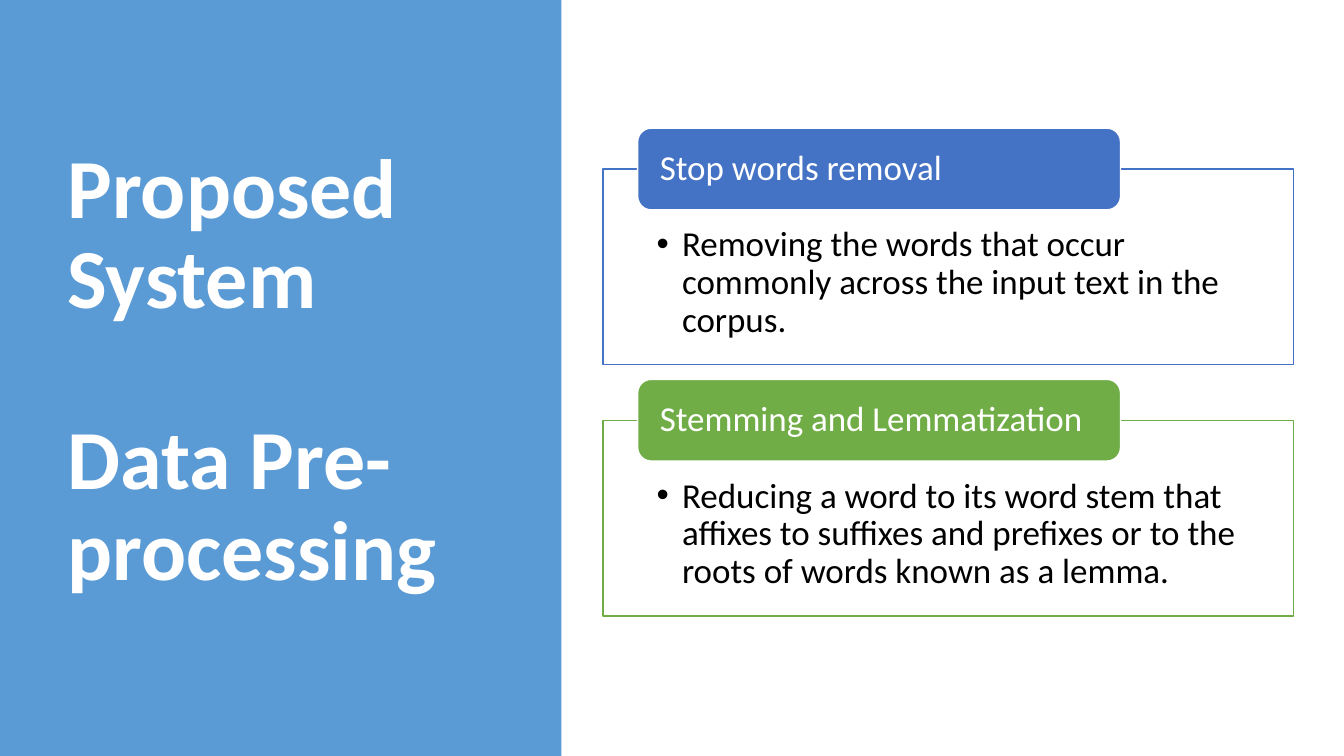
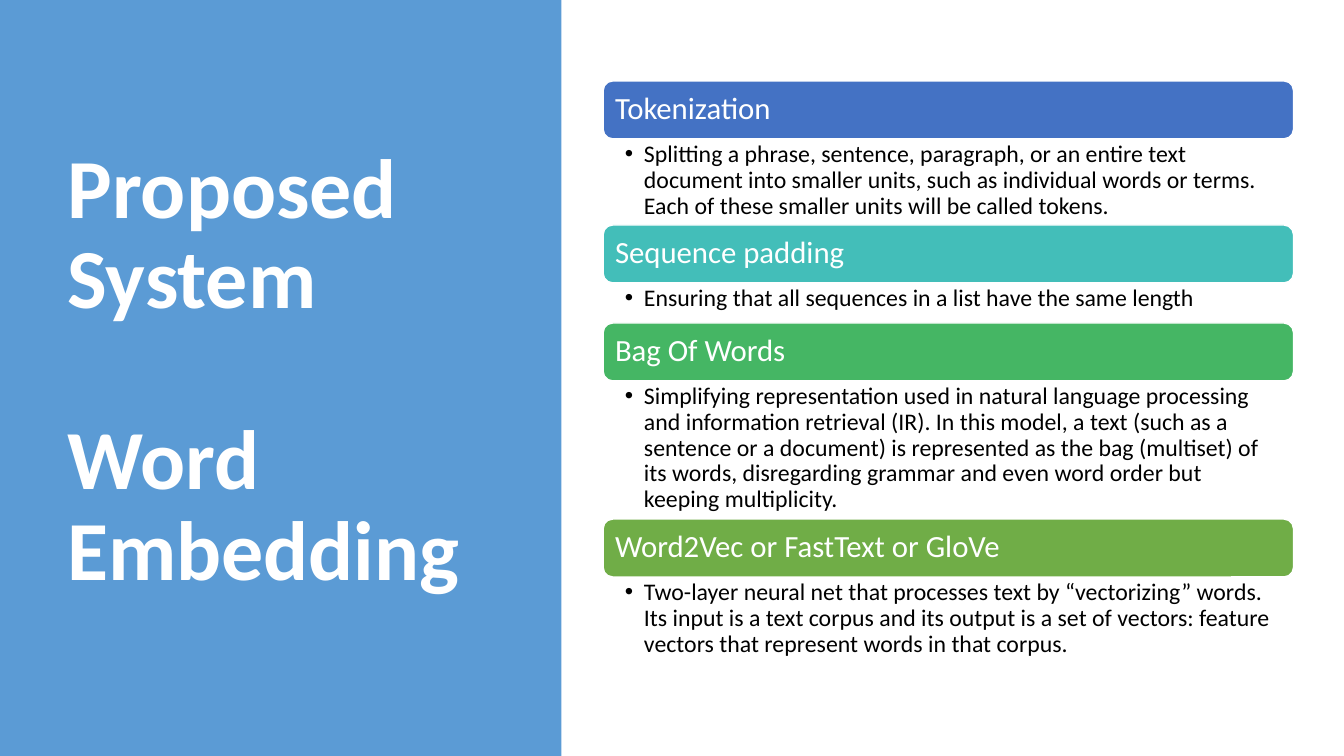
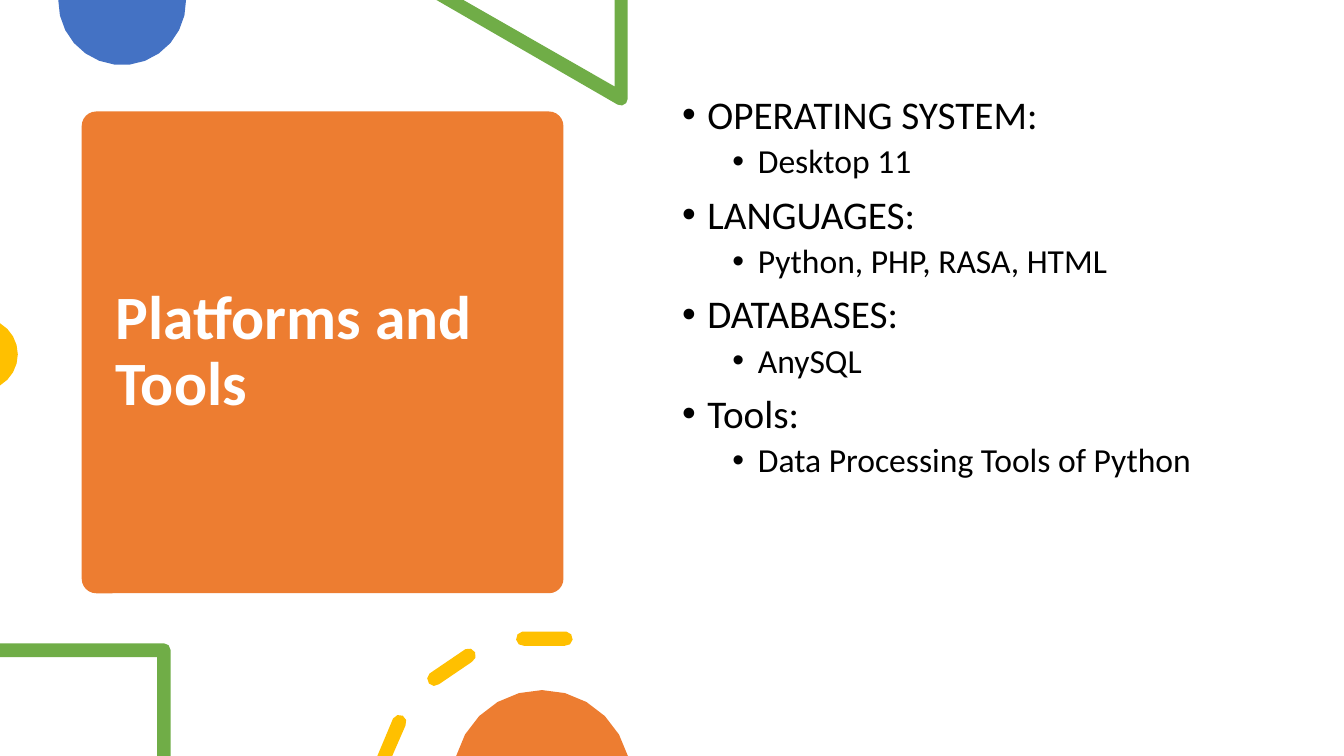
from math import asin, ceil, cos, degrees, radians, sin

from lxml import etree
from pptx import Presentation
from pptx.dml.color import RGBColor
from pptx.enum.shapes import MSO_SHAPE
from pptx.enum.text import MSO_ANCHOR, MSO_AUTO_SIZE, PP_ALIGN
from pptx.oxml.ns import qn
from pptx.util import Cm, Pt

RECTANGLE, ROUNDED = MSO_SHAPE.RECTANGLE, MSO_SHAPE.ROUNDED_RECTANGLE
TOP, MIDDLE = MSO_ANCHOR.TOP, MSO_ANCHOR.MIDDLE
LEFT = PP_ALIGN.LEFT
NO_AUTOFIT = MSO_AUTO_SIZE.NONE

# Shared style, lengths in centimetres
WHITE = RGBColor(0xFF, 0xFF, 0xFF)
BLACK = RGBColor(0x00, 0x00, 0x00)
PANEL_BLUE = RGBColor(0x5B, 0x9B, 0xD5)
BLUE = RGBColor(0x44, 0x72, 0xC4)
TEAL = RGBColor(0x43, 0xBE, 0xB9)
EMERALD = RGBColor(0x45, 0xB6, 0x64)
GREEN = RGBColor(0x70, 0xAD, 0x47)
ORANGE = RGBColor(0xED, 0x7D, 0x31)
YELLOW = RGBColor(0xFF, 0xC0, 0x00)
FONT = "Calibri"
SLIDE_WIDTH, SLIDE_HEIGHT = 33.87, 19.05
CONTENT_LEFT, CONTENT_WIDTH = 15.2, 17.4
DEFAULT_INSETS = (0.25, 0.13, 0.25, 0.13)
TITLE_ONLY = 5

# Slide content
PREPROCESSING = [
    ("Stop words removal", BLUE,
     "Removing the words that occur commonly across the input text in the corpus."),
    ("Stemming and Lemmatization", GREEN,
     "Reducing a word to its word stem that affixes to suffixes and prefixes "
     "or to the roots of words known as a lemma."),
]
EMBEDDING = [
    ("Tokenization", BLUE, 2.17,
     "Splitting a phrase, sentence, paragraph, or an entire text document into "
     "smaller units, such as individual words or terms. Each of these smaller "
     "units will be called tokens."),
    ("Sequence padding", TEAL, 1.01,
     "Ensuring that all sequences in a list have the same length"),
    ("Bag Of Words", EMERALD, 3.48,
     "Simplifying representation used in natural language processing and "
     "information retrieval (IR). In this model, a text (such as a sentence or a "
     "document) is represented as the bag (multiset) of its words, disregarding "
     "grammar and even word order but keeping multiplicity."),
    ("Word2Vec or FastText or GloVe", GREEN, 2.17,
     "Two-layer neural net that processes text by “vectorizing” words. Its input "
     "is a text corpus and its output is a set of vectors: feature vectors that "
     "represent words in that corpus."),
]
PLATFORMS = [
    ("OPERATING SYSTEM:", "Desktop 11"),
    ("LANGUAGES:", "Python, PHP, RASA, HTML"),
    ("DATABASES:", "AnySQL"),
    ("Tools:", "Data Processing Tools of Python"),
]


# Text
def format_paragraph(paragraph, size, color, bold=False, before=0):
    paragraph.alignment = LEFT
    paragraph.line_spacing = 0.9
    paragraph.space_before = Pt(before)
    font = paragraph.font
    font.name, font.size, font.bold = FONT, Pt(size), bold
    font.color.rgb = color


def set_bullet(paragraph, margin, hanging):
    properties = paragraph._p.get_or_add_pPr()
    properties.set("marL", str(Cm(margin)))
    properties.set("indent", str(-Cm(hanging)))
    etree.SubElement(properties, qn("a:buFont")).set("typeface", "Arial")
    etree.SubElement(properties, qn("a:buChar")).set("char", "•")


def set_frame(frame, anchor, insets=DEFAULT_INSETS):
    frame.word_wrap = True
    frame.auto_size = NO_AUTOFIT
    frame.vertical_anchor = anchor
    (frame.margin_left, frame.margin_top,
     frame.margin_right, frame.margin_bottom) = [Cm(inset) for inset in insets]


def add_paragraph(frame, index, text):
    paragraph = frame.paragraphs[0] if index == 0 else frame.add_paragraph()
    paragraph.text = text
    return paragraph


def add_text_box(slide, box, insets=DEFAULT_INSETS):
    frame = slide.shapes.add_textbox(*map(Cm, box)).text_frame
    set_frame(frame, TOP, insets)
    return frame


def add_title(slide, lines, box, size, gap=0):
    title = slide.shapes.title
    title.left, title.top, title.width, title.height = map(Cm, box)
    set_frame(title.text_frame, MIDDLE)
    for index, line in enumerate(lines):
        paragraph = add_paragraph(title.text_frame, index, line)
        format_paragraph(paragraph, size, WHITE, bold=True, before=gap * index)


# Shapes
def paint(shape, fill, line=None):
    shape.shadow.inherit = False
    shape.fill.solid()
    shape.fill.fore_color.rgb = fill
    if line is None:
        shape.line.fill.background()
    else:
        shape.line.color.rgb = line
        shape.line.width = Pt(1)


def add_block(slide, kind, box, fill, line=None):
    shape = slide.shapes.add_shape(kind, *map(Cm, box))
    paint(shape, fill, line)
    return shape


def send_to_back(slide, shape):
    tree = slide.shapes._spTree
    tree.remove(shape._element)
    tree.insert(2, shape._element)


def add_header(slide, box, text, fill, size, inset):
    header = add_block(slide, ROUNDED, box, fill, WHITE)
    set_frame(header.text_frame, MIDDLE, (inset, 0, inset, 0))
    format_paragraph(add_paragraph(header.text_frame, 0, text), size, WHITE)


def add_bullet_text(frame, text, size, hanging):
    paragraph = add_paragraph(frame, 0, text)
    set_bullet(paragraph, hanging, hanging)
    format_paragraph(paragraph, size, BLACK)


def point_on_circle(center_x, center_y, radius, angle):
    return (center_x + radius * cos(radians(angle)),
            center_y + radius * sin(radians(angle)))


def arc(center_x, center_y, radius, start, end):
    """Points along an arc; angles in degrees, clockwise from the right."""
    stride = 45 if radius < 0.5 else 15
    steps = ceil(abs(end - start) / stride)
    return [point_on_circle(center_x, center_y, radius, start + (end - start) * step / steps)
            for step in range(steps + 1)]


def add_outline(slide, fill, *contours):
    first, *others = [[(Cm(x), Cm(y)) for x, y in contour] for contour in contours]
    builder = slide.shapes.build_freeform(*first[0])
    builder.add_line_segments(first[1:], close=True)
    for contour in others:
        builder.move_to(*contour[0])
        builder.add_line_segments(contour[1:], close=True)
    paint(builder.convert_to_shape(), fill)


def ring_dash(start, end):
    """A round-ended dash; without a start it runs to the slide's bottom edge."""
    x, y, radius, half = 13.72, 20.26, 4.2, 0.18
    outer, inner = radius + half, radius - half

    def start_angle(size):
        return degrees(asin((y - SLIDE_HEIGHT) / size)) - 180 if start is None else start

    def cap(angle, turn):
        center = point_on_circle(x, y, radius, angle)
        return arc(*center, half, angle + turn, angle + turn + 180)

    points = arc(x, y, outer, start_angle(outer), end) + cap(end, 0)[1:-1]
    points += arc(x, y, inner, end, start_angle(inner))
    if start is not None:
        points += cap(start, 180)[1:-1]
    return points


# Slides
def new_slide(presentation):
    return presentation.slides.add_slide(presentation.slide_layouts[TITLE_ONLY])


def new_panel_slide(presentation, topic):
    slide = new_slide(presentation)
    panel = add_block(slide, RECTANGLE, (0, 0, 14.15, SLIDE_HEIGHT), PANEL_BLUE)
    send_to_back(slide, panel)
    add_title(slide, ["Proposed System", topic], (1.45, 1.73, 10.57, 15.29), 60, gap=64.5)
    return slide


def build_preprocessing(presentation):
    slide = new_panel_slide(presentation, "Data Pre-processing")
    for index, (name, color, text) in enumerate(PREPROCESSING):
        top = 3.23 + 6.33 * index
        card = add_block(slide, RECTANGLE, (CONTENT_LEFT, top + 1.03, CONTENT_WIDTH, 4.93),
                         WHITE, color)
        set_frame(card.text_frame, TOP, (1.35, 1.45, 1.35, 0.48))
        add_bullet_text(card.text_frame, text, 25, 0.64)
        add_header(slide, (16.07, top, 12.17, 2.06), name, color, 25, 0.46)


def build_embedding(presentation):
    slide = new_panel_slide(presentation, "Word Embedding")
    top, header_height = 2.04, 1.46
    for name, color, text_height, text in EMBEDDING:
        add_header(slide, (CONTENT_LEFT, top, CONTENT_WIDTH, header_height),
                   name, color, 22, 0.23)
        top += header_height
        frame = add_text_box(slide, (CONTENT_LEFT, top, CONTENT_WIDTH, text_height),
                             (0.55, 0.08, 0.43, 0.08))
        add_bullet_text(frame, text, 17, 0.48)
        top += text_height


def add_top_decorations(slide):
    add_outline(slide, BLUE, arc(3.08, 0.03, 1.61, -1, 181))
    add_outline(slide, GREEN,
                [(15.82, 0), (15.49, 0), (15.49, 2.18), (11.68, 0), (11, 0)]
                + arc(15.65, 2.49, 0.17, 120, 0))
    add_outline(slide, YELLOW, arc(-0.46, 8.93, 0.91, -59.6, 59.6))


def add_bottom_decorations(slide):
    add_outline(slide, GREEN,
                arc(4.13, 16.38, 0.17, -90, 0)
                + [(4.3, SLIDE_HEIGHT), (3.96, SLIDE_HEIGHT), (3.96, 16.56),
                   (0, 16.56), (0, 16.21)])
    add_outline(slide, YELLOW, ring_dash(None, -150.5), ring_dash(-131.3, -117),
                ring_dash(-97.3, -82.7))
    add_outline(slide, ORANGE, arc(13.66, 19.63, 2.24, -165, -15))


def build_platforms(presentation):
    slide = new_slide(presentation)
    square = add_block(slide, ROUNDED, (2.06, 2.81, 12.14, 12.14), ORANGE)
    square.adjustments[0] = 0.03
    send_to_back(slide, square)
    add_title(slide, ["Platforms and Tools"], (2.67, 3.09, 10.95, 11.58), 44)
    add_top_decorations(slide)
    frame = add_text_box(slide, (16.94, 2.28, 14.61, 13.59))
    for index, (heading, detail) in enumerate(PLATFORMS):
        paragraph = add_paragraph(frame, 2 * index, heading)
        set_bullet(paragraph, 0.64, 0.64)
        format_paragraph(paragraph, 28, BLACK, before=10)
        paragraph = add_paragraph(frame, 2 * index + 1, detail)
        paragraph.level = 1
        set_bullet(paragraph, 1.91, 0.64)
        format_paragraph(paragraph, 24, BLACK, before=5)
    add_bottom_decorations(slide)


def main():
    presentation = Presentation()
    presentation.slide_width = Cm(SLIDE_WIDTH)
    presentation.slide_height = Cm(SLIDE_HEIGHT)
    build_preprocessing(presentation)
    build_embedding(presentation)
    build_platforms(presentation)
    presentation.save("out.pptx")


if __name__ == "__main__":
    main()
